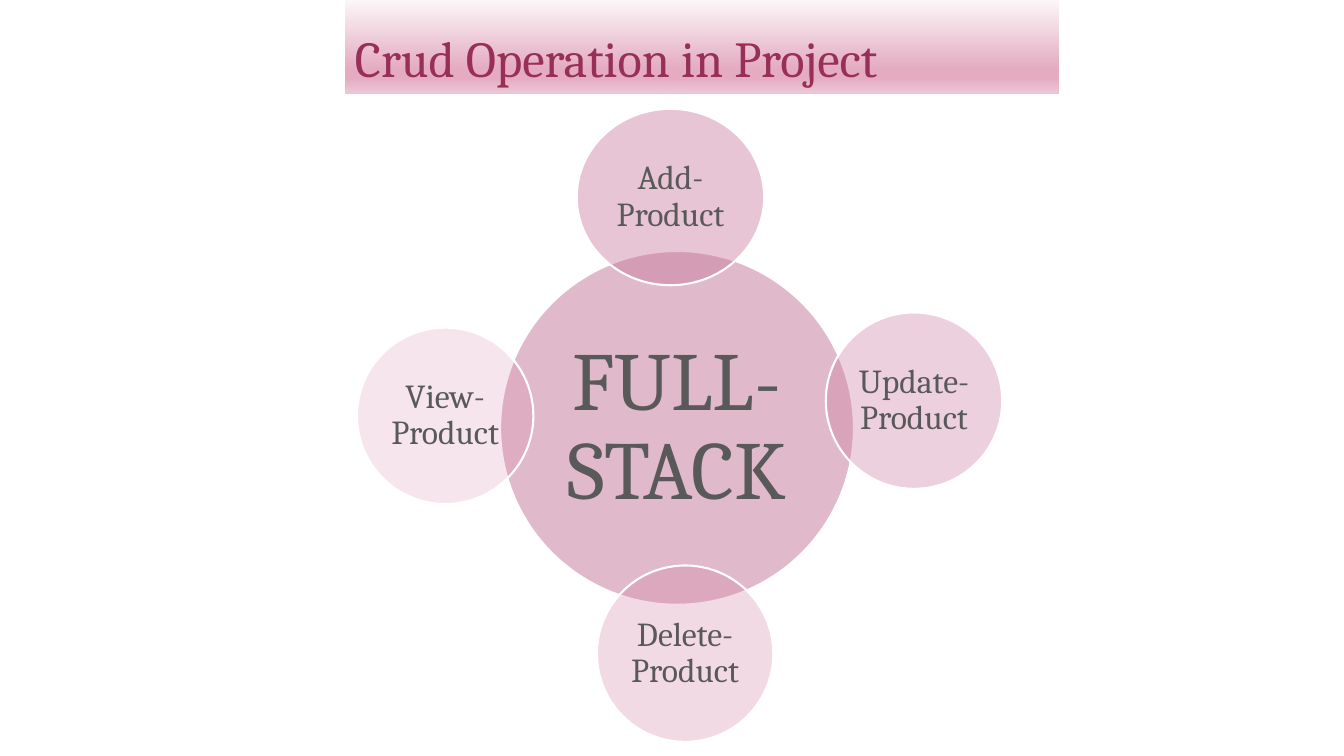
from lxml.etree import SubElement
from pptx import Presentation
from pptx.dml.color import RGBColor
from pptx.enum.shapes import MSO_SHAPE as Geom
from pptx.enum.text import MSO_ANCHOR as Anchor, MSO_AUTO_SIZE as Fit, PP_ALIGN as Align
from pptx.oxml.ns import qn
from pptx.util import Inches, Pt

FONT = "Cambria"
COLORS = {
    "title": "972F57", "text": "595959", "line": "FFFFFF",
    "pale": "FCF6F8", "rose": "E4ABC1", "blush": "EDC7D6",
    "hub": "C27496", "add": "C8779A", "update": "CD7A9E",
    "delete": "D27DA2", "view": "D681A6",
}
BANNER = [(0, "pale"), (74, "rose"), (83, "rose"), (100, "blush")]
CIRCLES = [
    ("FULL-STACK", "hub", 50, (1.42, 1.41, 3.51, 3.51), 59, 0.08),
    ("Add-Product", "add", 42, (2.18, 0, 1.86, 1.75), 24, 0.03),
    ("Update-Product", "update", 35, (4.65, 2.02, 1.75, 1.75), 24, 0.03),
    ("Delete-Product", "delete", 28, (2.38, 4.53, 1.75, 1.75), 24, 0.03),
    ("View-Product", "view", 20, (0, 2.17, 1.75, 1.75), 24, 0.03),
]


def color(name):
    return RGBColor.from_string(COLORS[name])


def write(frame, text, size, tone, align):
    para = frame.paragraphs[0]
    para.alignment = align
    para.line_spacing = 0.9
    run = para.add_run()
    run.text = text
    run.font.size = Pt(size)
    run.font.name = FONT
    run.font.color.rgb = color(tone)


def shade(shape, stops):
    grad = SubElement(shape._element.spPr, qn("a:gradFill"))
    group = SubElement(grad, qn("a:gsLst"))
    for place, name in stops:
        stop = SubElement(group, qn("a:gs"), pos=str(place * 1000))
        SubElement(stop, qn("a:srgbClr"), val=COLORS[name])
    SubElement(grad, qn("a:lin"), ang="5400000", scaled="0")


def add_title(slide, box, text):
    title = slide.shapes.title
    title.left, title.top, title.width, title.height = map(Inches, box)
    shade(title, BANNER)
    frame = title.text_frame
    frame.auto_size = Fit.NONE
    frame.word_wrap = True
    frame.vertical_anchor = Anchor.BOTTOM
    write(frame, text, 36, "title", Align.LEFT)


def add_circle(group, box, text, tone, alpha, size, inset):
    shape = group.shapes.add_shape(Geom.OVAL, *map(Inches, box))
    shape.shadow.inherit = False
    shape.fill.solid()
    shape.fill.fore_color.rgb = color(tone)
    paint = shape._element.spPr.find(qn("a:solidFill")).find(qn("a:srgbClr"))
    SubElement(paint, qn("a:alpha"), val=str(alpha * 1000))
    shape.line.color.rgb = color("line")
    shape.line.width = Pt(1.5)
    frame = shape.text_frame
    frame.word_wrap = True
    frame.vertical_anchor = Anchor.MIDDLE
    frame.margin_left = frame.margin_right = Inches(inset)
    frame.margin_top = frame.margin_bottom = Inches(inset)
    write(frame, text, size, "text", Align.CENTER)


def add_wheel(slide, left, top):
    group = slide.shapes.add_group_shape()
    for text, tone, alpha, (x, y, wide, high), size, inset in CIRCLES:
        box = (left + x, top + y, wide, high)
        add_circle(group, box, text, tone, alpha, size, inset)


def main():
    deck = Presentation()
    deck.slide_width, deck.slide_height = Inches(13.33), Inches(7.5)
    slide = deck.slides.add_slide(deck.slide_layouts[5])
    add_title(slide, (3.42, 0, 7.08, 0.93), "Crud Operation in Project")
    add_wheel(slide, 3.54, 1.08)
    deck.save("out.pptx")


if __name__ == "__main__":
    main()
